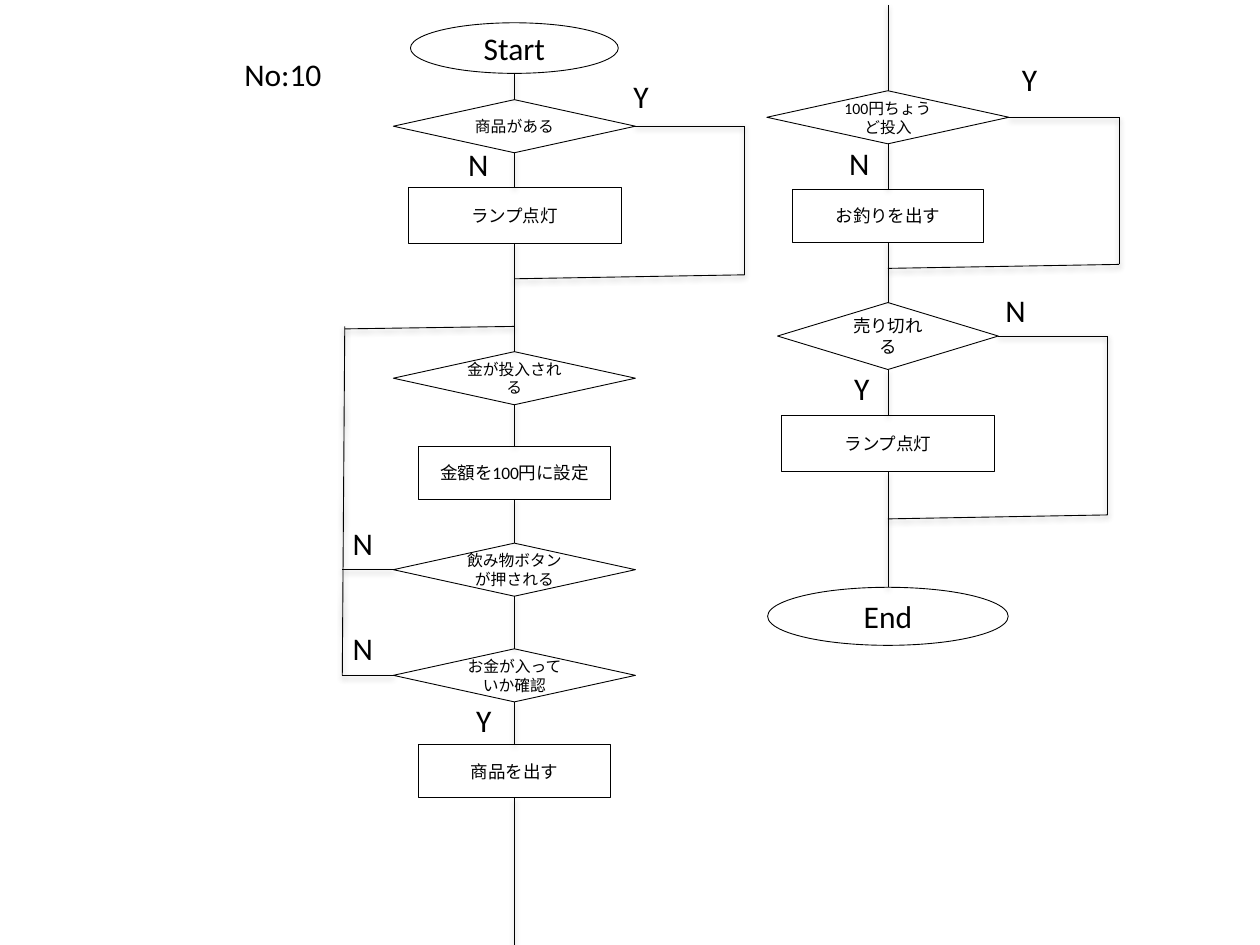
from dataclasses import dataclass
from itertools import pairwise

from pptx import Presentation
from pptx.dml.color import RGBColor
from pptx.enum.shapes import MSO_CONNECTOR, MSO_SHAPE
from pptx.enum.text import MSO_ANCHOR, MSO_AUTO_SIZE, PP_ALIGN
from pptx.util import Cm, Pt

STRAIGHT = MSO_CONNECTOR.STRAIGHT
TERMINAL = MSO_SHAPE.OVAL
DECISION = MSO_SHAPE.FLOWCHART_DECISION
PROCESS = MSO_SHAPE.RECTANGLE
TOP, LEFT, BOTTOM, RIGHT = range(4)


@dataclass(frozen=True)
class Theme:
    font: str = "Calibri"
    ink: RGBColor = RGBColor(0, 0, 0)
    paper: RGBColor = RGBColor(255, 255, 255)
    large: Pt = Pt(18)
    medium: Pt = Pt(10)
    small: Pt = Pt(9)
    line: Pt = Pt(0.5)
    thin_line: Pt = Pt(0.25)


@dataclass(frozen=True)
class Box:
    left: Cm
    top: Cm
    width: Cm
    height: Cm


THEME = Theme()
LABEL_HEIGHT = Cm(1.02)
RETURN_SLANT = Cm(0.08)
LOOP_SLANT = Cm(0.05)


def write(shape, text, size, alignment, anchor):
    frame = shape.text_frame
    frame.text = text
    frame.word_wrap = True
    frame.vertical_anchor = anchor
    paragraph = frame.paragraphs[0]
    paragraph.alignment = alignment
    font = paragraph.runs[0].font
    font.name, font.size = THEME.font, size
    font.color.rgb = THEME.ink


def add_line(slide, start_x, start_y, end_x, end_y):
    line = slide.shapes.add_connector(STRAIGHT, start_x, start_y, end_x, end_y)
    line.line.color.rgb = THEME.ink
    line.line.width = THEME.line
    return line


def add_node(slide, box, axis, kind, text, size, top, width, height):
    """Add one step of the flow, centred on the column's axis."""
    width = Cm(width)
    node = slide.shapes.add_shape(
        kind, axis - width // 2, box.top + Cm(top), width, Cm(height))
    node.shadow.inherit = False
    node.fill.solid()
    node.fill.fore_color.rgb = THEME.paper
    node.line.color.rgb = THEME.ink
    node.line.width = THEME.thin_line if kind == PROCESS else THEME.line
    write(node, text, size, PP_ALIGN.CENTER, MSO_ANCHOR.MIDDLE)
    return node


def join_nodes(slide, axis, nodes):
    for upper, lower in pairwise(nodes):
        line = add_line(slide, axis, upper.top + upper.height, axis, lower.top)
        # An ellipse numbers its connection sites differently.
        if upper.auto_shape_type != TERMINAL:
            line.begin_connect(upper, BOTTOM)
        line.end_connect(lower, TOP)


def add_bypass(slide, box, axis, decision, lane_inset, merge):
    """Lead from a decision's right side around the next step to the axis."""
    lane = box.left + box.width - Cm(lane_inset)
    middle = decision.top + decision.height // 2
    merge_y = box.top + Cm(merge)
    exit_line = add_line(slide, axis, middle, lane, middle)
    exit_line.begin_connect(decision, RIGHT)
    add_line(slide, lane, middle, lane, merge_y)
    add_line(slide, axis, merge_y + RETURN_SLANT, lane, merge_y)


def add_loop_back(slide, box, axis, decisions, top):
    """Lead from the decisions' left sides back up to the axis."""
    entry = box.top + Cm(top)
    middles = [decision.top + decision.height // 2 for decision in decisions]
    for decision, middle in zip(decisions, middles):
        exit_line = add_line(slide, box.left, middle, axis, middle)
        exit_line.end_connect(decision, LEFT)
    add_line(slide, box.left + LOOP_SLANT, entry, box.left, max(middles))
    add_line(slide, box.left + LOOP_SLANT, entry + LOOP_SLANT, axis, entry)


def add_labels(slide, box, axis, labels):
    for text, offset, top, width in labels:
        label = slide.shapes.add_textbox(
            axis + Cm(offset), box.top + Cm(top), Cm(width), LABEL_HEIGHT)
        write(label, text, THEME.large, PP_ALIGN.LEFT, MSO_ANCHOR.TOP)


def add_heading(slide, box):
    title = slide.shapes.title
    title.left, title.top = box.left, box.top
    title.width, title.height = box.width, box.height
    write(title, "No:10", THEME.large, PP_ALIGN.LEFT, MSO_ANCHOR.TOP)
    title.text_frame.auto_size = MSO_AUTO_SIZE.NONE


def add_purchase_column(slide, box):
    axis = box.left + Cm(3.47)
    steps = [
        (TERMINAL, "Start", THEME.large, 0.46, 4.19, 1.02),
        (DECISION, "商品がある", THEME.small, 2.01, 4.88, 1.07),
        (PROCESS, "ランプ点灯", THEME.medium, 3.78, 4.29, 1.12),
        (DECISION, "金が投入される", THEME.small, 7.09, 4.88, 1.07),
        (PROCESS, "金額を100円に設定", THEME.medium, 8.99, 3.86, 1.07),
        (DECISION, "飲み物ボタンが押される", THEME.small, 10.95, 4.88, 1.07),
        (DECISION, "お金が入っていか確認", THEME.small, 13.08, 4.88, 1.07),
        (PROCESS, "商品を出す", THEME.medium, 15.01, 3.86, 1.07),
    ]
    nodes = [add_node(slide, box, axis, *step) for step in steps]
    join_nodes(slide, axis, nodes)
    _, in_stock, _, _, _, button_pressed, money_checked, dispense = nodes
    add_bypass(slide, box, axis, in_stock, 0, 5.54)
    add_loop_back(slide, box, axis, [button_pressed, money_checked], 6.58)
    outgoing = add_line(slide, axis, box.top, axis, box.top + box.height)
    outgoing.begin_connect(dispense, BOTTOM)
    add_labels(slide, box, axis, [
        ("Y", 2.15, 1.42, 1.02),
        ("N", -1.18, 2.79, 1.17),
        ("N", -3.51, 10.44, 1.17),
        ("N", -3.51, 12.55, 1.17),
        ("Y", -1.02, 14, 1.02),
    ])


def add_change_column(slide, box):
    axis = box.left + Cm(2.43)
    steps = [
        (DECISION, "100円ちょうど投入", THEME.small, 1.73, 4.88, 1.07),
        (PROCESS, "お釣りを出す", THEME.medium, 3.71, 3.86, 1.07),
        (DECISION, "売り切れる", THEME.medium, 6, 4.45, 1.35),
        (PROCESS, "ランプ点灯", THEME.medium, 8.28, 4.29, 1.12),
        (TERMINAL, "End", THEME.large, 11.74, 4.85, 1.17),
    ]
    nodes = [add_node(slide, box, axis, *step) for step in steps]
    join_nodes(slide, axis, nodes)
    exact_money, _, sold_out, _, _ = nodes
    incoming = add_line(slide, axis, box.top, axis, exact_money.top)
    incoming.end_connect(exact_money, TOP)
    add_bypass(slide, box, axis, exact_money, 0, 5.23)
    add_bypass(slide, box, axis, sold_out, 0.23, 10.28)
    add_labels(slide, box, axis, [
        ("Y", 2.45, 0.99, 3.89),
        ("N", -1.03, 2.67, 1.02),
        ("N", 2.12, 5.64, 4.01),
        ("Y", -0.93, 7.22, 3.89),
    ])


def main():
    presentation = Presentation()
    presentation.slide_width, presentation.slide_height = Cm(25.4), Cm(19.05)
    title_only = presentation.slide_layouts[5]
    slide = presentation.slides.add_slide(title_only)
    add_heading(slide, Box(Cm(4.67), Cm(0.99), Cm(2.18), Cm(1.02)))
    add_purchase_column(slide, Box(Cm(6.9), Cm(0), Cm(8.11), Cm(19.05)))
    add_change_column(slide, Box(Cm(15.47), Cm(0.1), Cm(7.09), Cm(12.91)))
    presentation.save("out.pptx")


if __name__ == "__main__":
    main()
